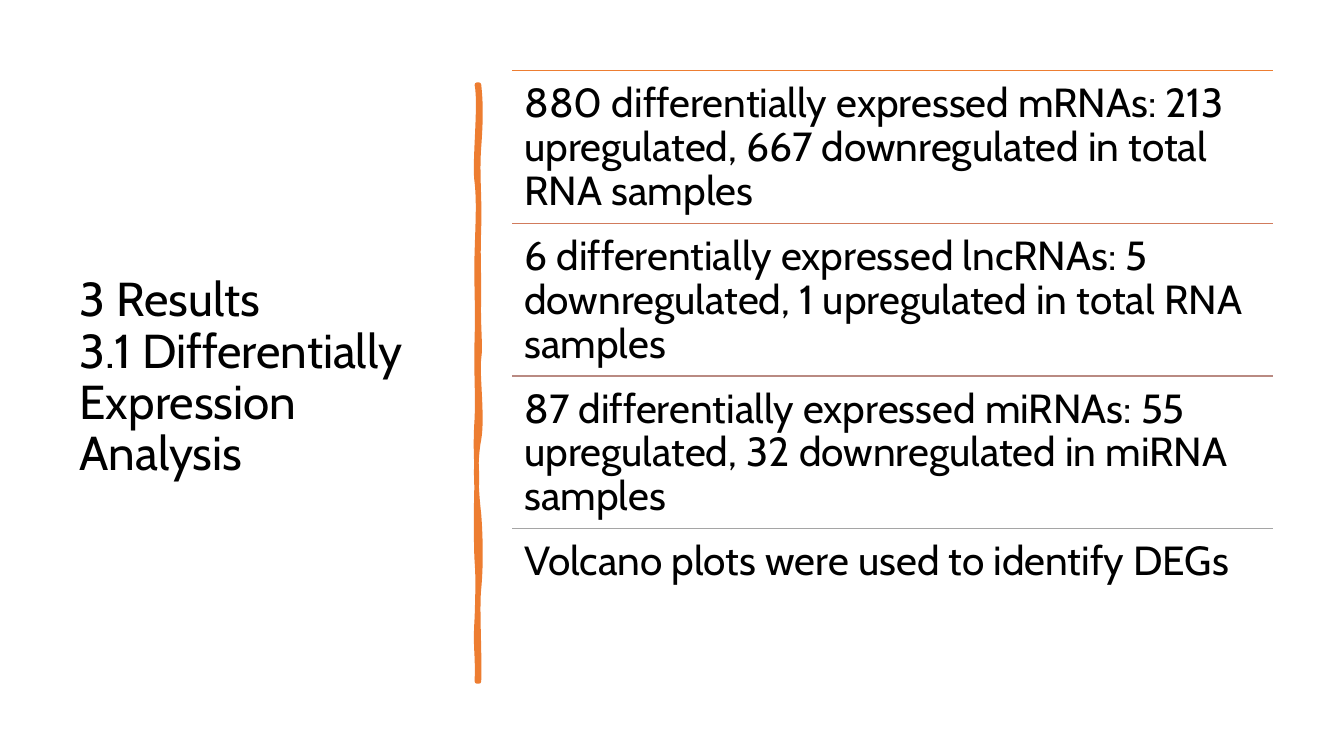
from lxml import etree
from pptx import Presentation
from pptx.dml.color import RGBColor
from pptx.enum.shapes import MSO_CONNECTOR
from pptx.enum.text import MSO_ANCHOR, MSO_AUTO_SIZE, PP_ALIGN
from pptx.oxml.ns import qn
from pptx.util import Inches, Pt

STRAIGHT = MSO_CONNECTOR.STRAIGHT
TOP, MIDDLE = MSO_ANCHOR.TOP, MSO_ANCHOR.MIDDLE
LEFT = PP_ALIGN.LEFT
NO_FIT = MSO_AUTO_SIZE.NONE

FONT = "Cabin"
TITLE_LAYOUT = 5
COLORS = {"text": "000000", "background": "FFFFFF", "accent": "ED7D31"}

TITLE = "3 Results\v3.1 Differentially Expression Analysis"
# Finding and the colour of the rule above it
FINDINGS = [
    ("880 differentially expressed mRNAs: 213 upregulated, "
     "667 downregulated in total RNA samples", "ED7D31"),
    ("6 differentially expressed lncRNAs: 5 downregulated, "
     "1 upregulated in total RNA samples", "D17B5C"),
    ("87 differentially expressed miRNAs: 55 upregulated, "
     "32 downregulated in miRNA samples", "B98A82"),
    ("Volcano plots were used to identify DEGs", "A5A5A5"),
]

# Hand-drawn bar: cubic segments (control, control, end) relative to its top left
BAR_START = (0.02, 0)
BAR_CURVES = [
    # right edge, downwards
    ((0.04, 0.18), (0.04, 0.35), (0.02, 0.62)),
    ((0, 0.89), (0.03, 1.11), (0.02, 1.42)),
    ((0.01, 1.73), (0.02, 1.78), (0.02, 2.1)),
    ((0.01, 2.41), (0.04, 2.58), (0.02, 2.72)),
    ((0, 2.86), (0.06, 3.3), (0.02, 3.52)),
    ((-0.02, 3.73), (-0.01, 4), (0.02, 4.26)),
    ((0.04, 4.52), (0.04, 4.8), (0.02, 5)),
    ((0, 5.19), (0.03, 5.66), (0.02, 5.92)),
    # left edge, upwards
    ((0.01, 5.92), (0, 5.92), (0, 5.92)),
    ((0.01, 5.62), (-0.02, 5.6), (0, 5.29)),
    ((0.01, 4.99), (0.01, 4.86), (0, 4.73)),
    ((-0.01, 4.6), (-0.01, 4.11), (0, 3.93)),
    ((0, 3.75), (-0.02, 3.61), (0, 3.31)),
    ((0.01, 3.02), (-0.01, 2.89), (0, 2.51)),
    ((0.01, 2.14), (-0.01, 1.97), (0, 1.66)),
    ((0.01, 1.34), (0.02, 1.16), (0, 0.97)),
    ((-0.03, 0.79), (0.04, 0.2), (0, 0)),
]


def rgb(value):
    return RGBColor.from_string(value)


def write_text(text_frame, text, size, anchor):
    text_frame.text = text
    text_frame.word_wrap = True
    text_frame.auto_size = NO_FIT
    text_frame.vertical_anchor = anchor
    paragraph = text_frame.paragraphs[0]
    paragraph.alignment = LEFT
    paragraph.line_spacing = 0.9
    for run in paragraph.runs:
        run.font.name = FONT
        run.font.size = Pt(size)
        run.font.color.rgb = rgb(COLORS["text"])


def place_title(slide, left, top, width, height):
    title = slide.shapes.title
    title.left, title.top = Inches(left), Inches(top)
    title.width, title.height = Inches(width), Inches(height)
    write_text(title.text_frame, TITLE, 34, MIDDLE)


def bend_segments(shape, curves):
    """Turn the straight segments of a freeform into cubic curves."""
    segments = list(shape._element.iter(qn("a:lnTo")))
    for segment, points in zip(segments, curves):
        segment.tag = qn("a:cubicBezTo")
        for child in list(segment):
            segment.remove(child)
        for x, y in points:
            etree.SubElement(segment, qn("a:pt"), x=str(Inches(x)), y=str(Inches(y)))


def draw_bar(slide, left, top):
    ends = [BAR_START] + [curve[-1] for curve in BAR_CURVES]
    outline = [(Inches(left) + Inches(x), Inches(top) + Inches(y)) for x, y in ends]
    builder = slide.shapes.build_freeform(*outline[0])
    builder.add_line_segments(outline[1:], close=True)
    bar = builder.convert_to_shape()
    bend_segments(bar, BAR_CURVES)
    bar.shadow.inherit = False
    bar.fill.solid()
    bar.fill.fore_color.rgb = rgb(COLORS["accent"])
    bar.line.color.rgb = rgb(COLORS["accent"])
    bar.line.width = Pt(3.25)


def draw_rule(slide, left, top, width, color):
    rule = slide.shapes.add_connector(
        STRAIGHT, Inches(left), Inches(top), Inches(left + width), Inches(top))
    rule.line.color.rgb = rgb(color)
    rule.line.width = Pt(1)
    etree.SubElement(rule._element.spPr, qn("a:effectLst"))


def draw_findings(slide, left, top, width, height):
    row_height = height / len(FINDINGS)
    for index, (finding, color) in enumerate(FINDINGS):
        row_top = top + index * row_height
        draw_rule(slide, left, row_top, width, color)
        box = slide.shapes.add_textbox(
            Inches(left), Inches(row_top), Inches(width), Inches(row_height))
        text_frame = box.text_frame
        text_frame.margin_left = text_frame.margin_right = Inches(0.12)
        text_frame.margin_top = text_frame.margin_bottom = Inches(0.12)
        write_text(text_frame, finding, 29, TOP)


def main():
    presentation = Presentation()
    presentation.slide_width = Inches(13.33)
    presentation.slide_height = Inches(7.5)
    slide = presentation.slides.add_slide(presentation.slide_layouts[TITLE_LAYOUT])
    slide.background.fill.solid()
    slide.background.fill.fore_color.rgb = rgb(COLORS["background"])

    place_title(slide, 0.69, 0.7, 3.74, 6.11)
    draw_bar(slide, 4.73, 0.84)
    draw_findings(slide, 5.08, 0.7, 7.55, 6.06)
    presentation.save("out.pptx")


if __name__ == "__main__":
    main()
